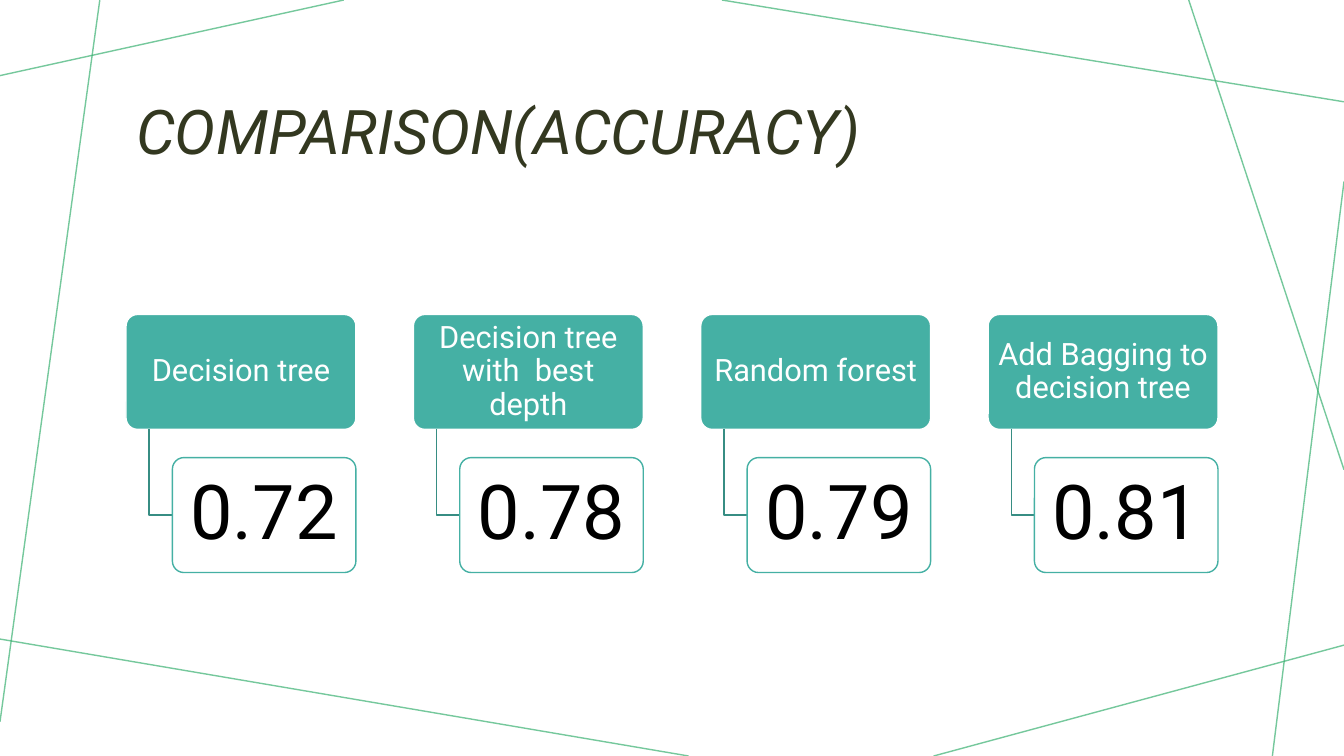
"""Build a slide comparing the accuracy of four tree models."""
import pptx
import pptx.util
import pptx.dml.color
import pptx.enum.shapes
import pptx.enum.text
import pptx.oxml.ns
import pptx.oxml.xmlchemy

Inches, Pt = pptx.util.Inches, pptx.util.Pt
TITLE = "COMPARISON(ACCURACY)"
MODELS = [
    ("Decision tree", "0.72"),
    ("Decision tree with  best depth", "0.78"),
    ("Random forest", "0.79"),
    ("Add Bagging to decision tree", "0.81"),
]
RAYS = [
    (3.41, 0, 0, 0.75),
    (0.99, 0, 0, 7.16),
    (6.83, 7.5, 0, 6.34),
    (13.33, 6.4, 9.26, 7.5),
    (13.33, 1.8, 12.62, 7.5),
    (13.33, 4.66, 11.79, 0),
    (13.33, 1.01, 7.16, 0),
]
COLORS = {"ray": "3BB172", "title": "333820", "teal": "45B0A4",
          "elbow": "378D83", "white": "FFFFFF", "black": "000000"}
FONT = "Roboto"
LEFT, STEP = 1.25, 2.85
HEAD_TOP, HEAD_WIDE = 3.12, 2.28
CARD_TOP, CARD_WIDE = 4.54, 1.82
HIGH, INDENT, STEM = 1.14, 0.46, 0.23


def color(name):
    return pptx.dml.color.RGBColor.from_string(COLORS[name])


def stroke(line, name):
    line.color.rgb = color(name)
    line.width = Pt(1)


def write(frame, text, size, name, align):
    frame.word_wrap = True
    frame.vertical_anchor = pptx.enum.text.MSO_ANCHOR.MIDDLE
    para = frame.paragraphs[0]
    para.alignment = align
    para.line_spacing = 0.9
    run = para.add_run()
    run.text = text
    run.font.size = Pt(size)
    run.font.name = FONT
    run.font.color.rgb = color(name)
    return run


def add_ray(slide, ends):
    ray = slide.shapes.add_connector(
        pptx.enum.shapes.MSO_CONNECTOR.STRAIGHT, *map(Inches, ends))
    stroke(ray.line, "ray")
    props = ray._element.spPr
    tint = props.find(".//" + pptx.oxml.ns.qn("a:srgbClr"))
    alpha = pptx.oxml.xmlchemy.OxmlElement("a:alpha")
    alpha.set("val", "70000")
    tint.append(alpha)
    props.append(pptx.oxml.xmlchemy.OxmlElement("a:effectLst"))


def add_box(slide, place, fill, edge, text, size, ink, inset):
    box = slide.shapes.add_shape(
        pptx.enum.shapes.MSO_SHAPE.ROUNDED_RECTANGLE, *map(Inches, place))
    box.adjustments[0] = 0.1
    box.shadow.inherit = False
    box.fill.solid()
    box.fill.fore_color.rgb = color(fill)
    stroke(box.line, edge)
    frame = box.text_frame
    frame.margin_left = frame.margin_right = Inches(inset[0])
    frame.margin_top = frame.margin_bottom = Inches(inset[1])
    write(frame, text, size, ink, pptx.enum.text.PP_ALIGN.CENTER)


def add_elbow(slide, left):
    top, low = HEAD_TOP + HIGH, CARD_TOP + HIGH / 2
    points = [(left, low), (left + STEM, low)]
    build = slide.shapes.build_freeform(Inches(left), Inches(top))
    build.add_line_segments(
        [(Inches(x), Inches(y)) for x, y in points], close=False)
    elbow = build.convert_to_shape()
    elbow.shadow.inherit = False
    elbow.fill.background()
    stroke(elbow.line, "elbow")


def main():
    deck = pptx.Presentation()
    deck.slide_width, deck.slide_height = Inches(13.33), Inches(7.5)
    slide = deck.slides.add_slide(deck.slide_layouts[5])
    for ends in RAYS:
        add_ray(slide, ends)

    title = slide.shapes.title
    title.left, title.top = Inches(1.25), Inches(0.58)
    title.width, title.height = Inches(10.83), Inches(1.51)
    run = write(title.text_frame, TITLE, 44, "title",
                pptx.enum.text.PP_ALIGN.LEFT)
    run.font.italic = True

    for index, (model, score) in enumerate(MODELS):
        left = LEFT + index * STEP
        add_box(slide, (left, HEAD_TOP, HEAD_WIDE, HIGH), "teal", "white",
                model, 22, "white", (0.05, 0.03))
        add_elbow(slide, left + STEM)
        add_box(slide, (left + INDENT, CARD_TOP, CARD_WIDE, HIGH), "white",
                "teal", score, 54, "black", (0.11, 0.07))
    deck.save("out.pptx")


if __name__ == "__main__":
    main()
